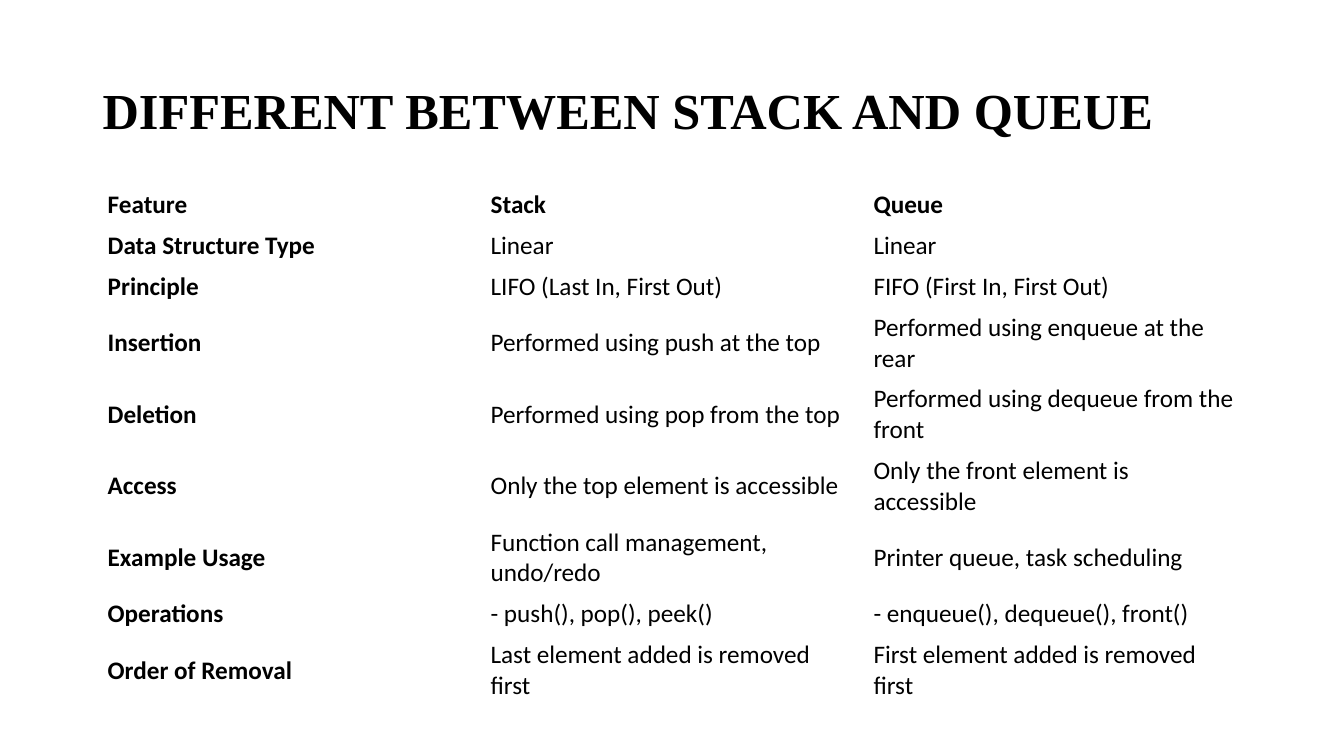
from pptx import Presentation
from pptx.dml.color import RGBColor
from pptx.enum.text import MSO_ANCHOR, MSO_AUTO_SIZE, PP_ALIGN
from pptx.util import Cm, Pt

BLACK = RGBColor(0x00, 0x00, 0x00)
MIDDLE = MSO_ANCHOR.MIDDLE
NO_AUTOFIT = MSO_AUTO_SIZE.NONE
LEFT = PP_ALIGN.LEFT

COLUMN_WIDTH = Cm(9.65)
ONE_LINE = Cm(1.03)
TWO_LINES = Cm(1.75)

comparison = [
    ("Feature", "Stack", "Queue", ONE_LINE),
    ("Data Structure Type", "Linear", "Linear", ONE_LINE),
    ("Principle", "LIFO (Last In, First Out)", "FIFO (First In, First Out)", ONE_LINE),
    ("Insertion", "Performed using push at the top",
     "Performed using enqueue at the rear", TWO_LINES),
    ("Deletion", "Performed using pop from the top",
     "Performed using dequeue from the front", TWO_LINES),
    ("Access", "Only the top element is accessible",
     "Only the front element is accessible", ONE_LINE),
    ("Example Usage", "Function call management, undo/redo",
     "Printer queue, task scheduling", TWO_LINES),
    ("Operations", "- push(), pop(), peek()", "- enqueue(), dequeue(), front()", ONE_LINE),
    ("Order of Removal", "Last element added is removed first",
     "First element added is removed first", TWO_LINES),
]


def format_text(paragraph, **font_format):
    paragraph.alignment = LEFT
    paragraph.font.color.rgb = BLACK
    for attribute, value in font_format.items():
        setattr(paragraph.font, attribute, value)


presentation = Presentation()
presentation.slide_width = Cm(33.87)
presentation.slide_height = Cm(19.05)
slide = presentation.slides.add_slide(presentation.slide_layouts[5])

heading = slide.shapes.title
heading_box = {"left": Cm(2.33), "top": Cm(1.01), "width": Cm(29.21), "height": Cm(3.68)}
for attribute, value in heading_box.items():
    setattr(heading, attribute, value)
heading.text_frame.text = "DIFFERENT BETWEEN STACK AND QUEUE"
heading.text_frame.auto_size = NO_AUTOFIT
heading.text_frame.vertical_anchor = MIDDLE
heading_line = heading.text_frame.paragraphs[0]
heading_line.line_spacing = 0.9
format_text(heading_line, name="Times New Roman", size=Pt(36), bold=True)

table_height = sum(row_height for *_, row_height in comparison)
features = slide.shapes.add_table(
    len(comparison), 3, Cm(2.46), Cm(4.65), COLUMN_WIDTH * 3, table_height
).table
features.first_row = False
features.horz_banding = False
for column in features.columns:
    column.width = COLUMN_WIDTH

for row_index, (*entries, row_height) in enumerate(comparison):
    features.rows[row_index].height = row_height
    for column_index, entry in enumerate(entries):
        cell = features.cell(row_index, column_index)
        cell.text = entry
        cell.fill.background()
        cell.vertical_anchor = MIDDLE
        is_label = row_index == 0 or column_index == 0
        format_text(cell.text_frame.paragraphs[0], name="Calibri", size=Pt(18), bold=is_label)

presentation.save("out.pptx")
